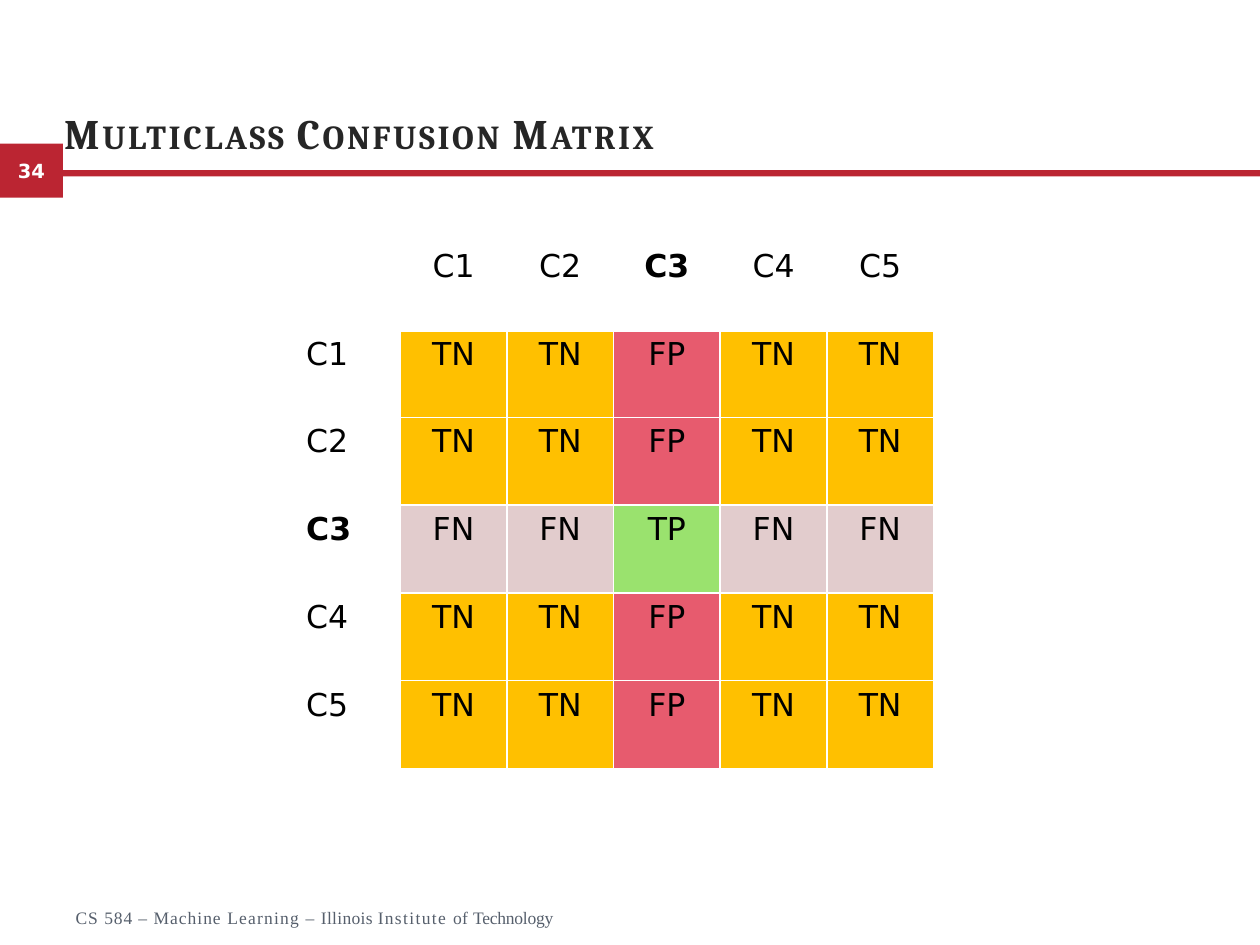
from lxml import etree
from pptx import Presentation
from pptx.dml.color import RGBColor
from pptx.enum.shapes import MSO_SHAPE
from pptx.enum.text import MSO_ANCHOR, PP_ALIGN
from pptx.oxml.ns import qn
from pptx.util import Inches, Pt

RECT = MSO_SHAPE.RECTANGLE
TOP, MIDDLE, BOTTOM = MSO_ANCHOR.TOP, MSO_ANCHOR.MIDDLE, MSO_ANCHOR.BOTTOM
LEFT, CENTER = PP_ALIGN.LEFT, PP_ALIGN.CENTER
RED = RGBColor(0xBB, 0x25, 0x32)
WHITE = RGBColor(0xFF, 0xFF, 0xFF)
BLACK = RGBColor(0, 0, 0)
DARK = RGBColor(0x26, 0x26, 0x26)
SLATE = RGBColor(0x56, 0x5F, 0x6C)
FILLS = {
    "TN": RGBColor(0xFF, 0xC0, 0x00),
    "FP": RGBColor(0xE7, 0x5B, 0x6E),
    "FN": RGBColor(0xE2, 0xCC, 0xCD),
    "TP": RGBColor(0x9A, 0xE2, 0x6E),
}
SANS = "DejaVu Sans"


def write(frame, parts, size=18, font=SANS, color=BLACK, bold=False,
          align=LEFT, before=0, small=False):
    para = frame.paragraphs[0]
    para.alignment = align
    para.space_before = Pt(before)
    for text, gap in parts:
        run = para.add_run()
        run.text = text
        run.font.size = Pt(size)
        run.font.name = font
        run.font.bold = bold
        run.font.color.rgb = color
        props = run._r.get_or_add_rPr()
        if gap:
            props.set("spc", str(round(gap * 100)))
        if small:
            props.set("cap", "small")


class Deck:
    def __init__(self, width, height, cols, rows):
        self.prs = Presentation()
        self.prs.slide_width = Inches(width)
        self.prs.slide_height = Inches(height)
        self.unit_x = self.prs.slide_width / cols
        self.unit_y = self.prs.slide_height / rows
        self.slide = self.prs.slides.add_slide(self.prs.slide_layouts[6])

    def place(self, col, row, wide, high):
        return (round(col * self.unit_x), round(row * self.unit_y),
                round(wide * self.unit_x), round(high * self.unit_y))

    def block(self, *area):
        shape = self.slide.shapes.add_shape(RECT, *self.place(*area))
        shape.shadow.inherit = False
        shape.fill.solid()
        shape.fill.fore_color.rgb = RED
        shape.line.fill.background()
        shape.text_frame.vertical_anchor = MIDDLE
        return shape

    def label(self, area, parts, anchor=TOP, **style):
        box = self.slide.shapes.add_textbox(*self.place(*area))
        frame = box.text_frame
        frame.word_wrap = True
        frame.vertical_anchor = anchor
        frame.margin_left = frame.margin_right = 0
        frame.margin_top = frame.margin_bottom = 0
        write(frame, parts, **style)

    def border(self, cell, base):
        props = cell._tc.get_or_add_tcPr()
        widths = {"lnL": 1, "lnR": 1, "lnT": 1, "lnB": base}
        for spot, (side, width) in enumerate(widths.items()):
            line = etree.Element(qn(f"a:{side}"), w=str(Pt(width)))
            fill = etree.SubElement(line, qn("a:solidFill"))
            etree.SubElement(fill, qn("a:srgbClr"), val=str(WHITE))
            props.insert(spot, line)

    def matrix(self, area, names, focus):
        count = len(names) + 1
        place = self.place(*area)
        table = self.slide.shapes.add_table(count, count, *place).table
        table.first_row = table.horz_banding = False
        heads = ["", *names]
        for row, actual in enumerate(heads):
            table.rows[row].height = round(place[3] / count)
            table.columns[row].width = round(place[2] / count)
            for col, guess in enumerate(heads):
                if row and col:
                    truth = "T" if (actual == focus) == (guess == focus) else "F"
                    text = truth + ("P" if guess == focus else "N")
                else:
                    text = actual or guess
                cell = table.cell(row, col)
                cell.fill.solid()
                cell.fill.fore_color.rgb = FILLS.get(text, WHITE)
                self.border(cell, 1 if row else 3)
                if text:
                    write(cell.text_frame, [(text, 0)], bold=text == focus,
                          align=CENTER if col else LEFT)


def main():
    deck = Deck(10, 7.5, 100, 75)
    badge = deck.block(0, 11.4, 5, 4.3)
    write(badge.text_frame, [("34", 0)], size=11.1, color=WHITE, bold=True,
          align=CENTER)
    deck.block(5, 13.5, 95, 0.5)
    deck.label((5.1, 7.3, 90, 5.2), [("Multiclass Confusion Matrix", 1.5)],
               anchor=BOTTOM, size=24, font="Cambria", color=DARK, bold=True,
               before=1, small=True)
    deck.label((6, 72, 39.4, 2),
               [("CS ", 0.6), ("584 ", 0.5), ("– Machine ", 0.6),
                ("Learning ", 0.7), ("– ", 0.6), ("Illinois ", 0.2),
                ("Institute ", 0.8), ("of ", 0.2), ("Technology", -0.1)],
               size=10, font="Times New Roman", color=SLATE, before=0.8)
    deck.matrix((23.3, 19.2, 50.8, 41.8), ["C1", "C2", "C3", "C4", "C5"], "C3")
    deck.prs.save("out.pptx")


if __name__ == "__main__":
    main()
